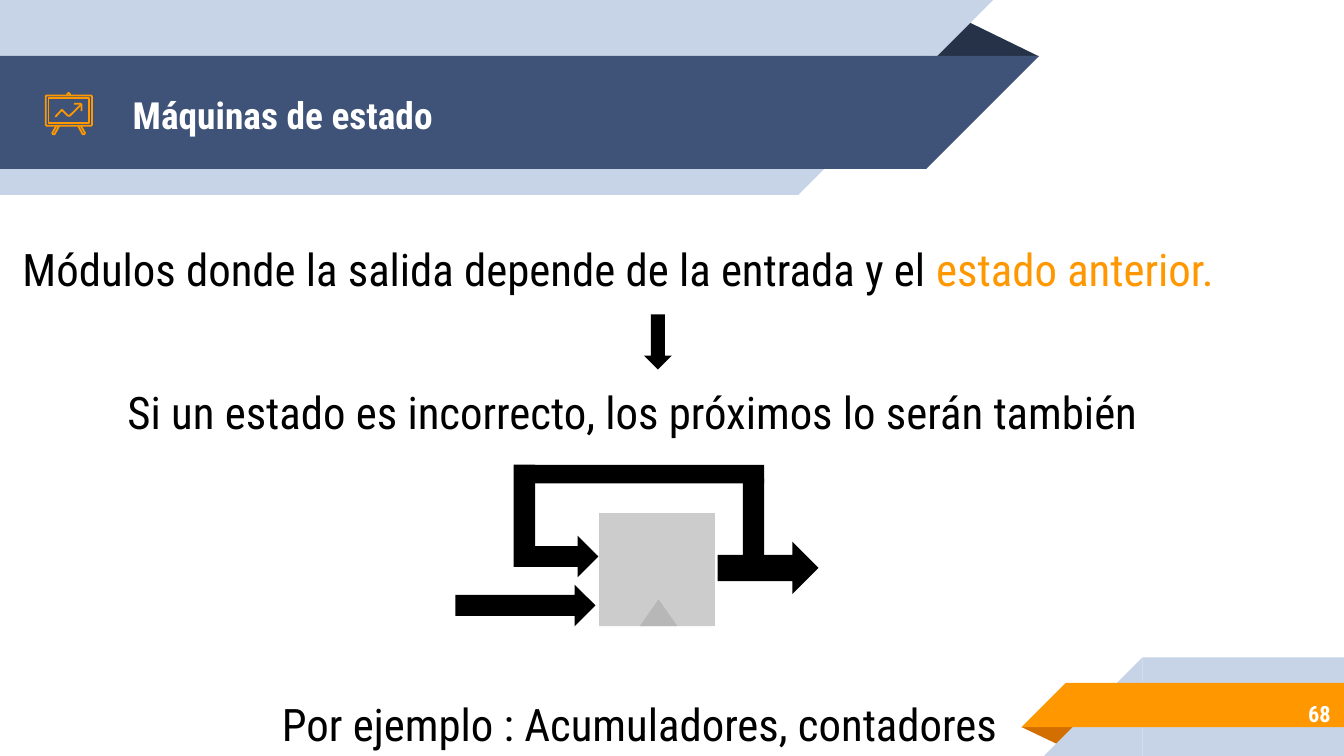
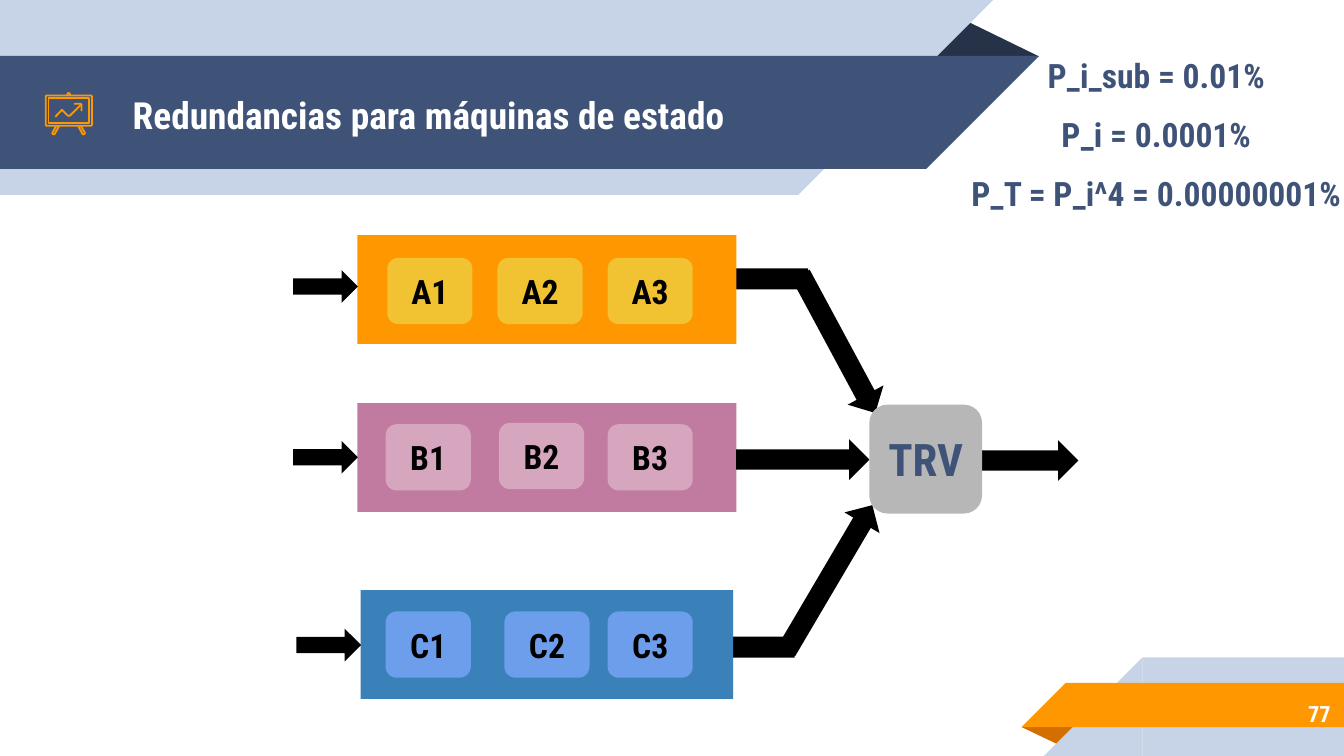
import pptx
import pptx.dml.color
import pptx.enum.shapes
import pptx.enum.text
import pptx.util

Pt = pptx.util.Pt
SHAPE = pptx.enum.shapes.MSO_SHAPE
ALIGN = pptx.enum.text.PP_ALIGN
ANCHOR = pptx.enum.text.MSO_ANCHOR
RGB = pptx.dml.color.RGBColor.from_string

FONT = "Roboto Condensed"
COLORS = {
    "navy": "3F5378", "dark navy": "263248", "pale blue": "C7D3E6",
    "orange": "FF9800", "dark orange": "D26F00", "white": "FFFFFF",
    "black": "000000", "light gray": "CCCCCC", "gray": "B7B7B7",
    "yellow": "F1C232", "mauve": "C27BA0", "pink": "D5A6BD",
    "blue": "3A81BA", "sky": "6D9EEB",
}


def draw(slide, kind, x, y, width, height, fill="black", rotation=0):
    """Add a plain filled shape; all lengths are in points."""
    shape = slide.shapes.add_shape(kind, Pt(x), Pt(y), Pt(width), Pt(height))
    shape.shadow.inherit = False
    shape.fill.solid()
    shape.fill.fore_color.rgb = RGB(COLORS[fill])
    shape.line.fill.background()
    shape.rotation = rotation
    return shape


def write(shape, text, size=24, color="black", bold=False, align=ALIGN.LEFT,
          anchor=ANCHOR.TOP, accent="", gap=0):
    """Fill a shape with text, one paragraph a line; accent ends it in orange."""
    frame = shape.text_frame
    frame.word_wrap = True
    frame.vertical_anchor = anchor
    frame.margin_left = frame.margin_right = Pt(7.2)
    frame.margin_top = frame.margin_bottom = Pt(7.2)
    for index, line in enumerate(text.split("\n")):
        paragraph = frame.add_paragraph() if index else frame.paragraphs[0]
        paragraph.alignment = align
        if index and gap:
            paragraph.space_before = Pt(gap)
        for words, run_color in ((line, color), (accent, "orange")):
            if words:
                run = paragraph.add_run()
                run.text = words
                run.font.name = FONT
                run.font.size = Pt(size)
                run.font.bold = bold
                run.font.color.rgb = RGB(COLORS[run_color])


# Bands of every slide: kind, x, y, width, height, fill, rotation
BANDS = [
    (SHAPE.ISOSCELES_TRIANGLE, 495.4, 10, 61.2, 20.2, "dark navy", 0),
    (SHAPE.RECTANGLE, 0, 0, 427.6, 104.4, "pale blue", 0),
    (SHAPE.RIGHT_TRIANGLE, 427.6, 0, 104.4, 104.4, "pale blue", 90),
    (SHAPE.RECTANGLE, 0, 30, 496.2, 60.5, "navy", 0),
    (SHAPE.RIGHT_TRIANGLE, 496.2, 30, 60.5, 60.5, "navy", 90),
    (SHAPE.ISOSCELES_TRIANGLE, 547.2, 389.5, 31, 10, "dark orange", 180),
    (SHAPE.RECTANGLE, 612, 352.2, 108, 52.8, "pale blue", 0),
    (SHAPE.RIGHT_TRIANGLE, 559.2, 352.2, 52.8, 52.8, "pale blue", 270),
    (SHAPE.RECTANGLE, 571, 365.8, 149, 23.8, "orange", 0),
    (SHAPE.RIGHT_TRIANGLE, 547.2, 365.8, 23.8, 23.8, "orange", 270),
]

# Flip chart icon: outline points and whether the outline is closed
ICON = [
    ([(25, 51.1), (48.8, 51.1), (49.3, 51.6), (49.3, 66.8), (48.8, 67.4),
      (25, 67.4), (24.5, 66.8), (24.5, 51.6)], True),
    ([(37.6, 51.1), (37.4, 50.2), (36.8, 49.8), (36.2, 50.2), (36, 51.1)], False),
    ([(30.2, 67.4), (28, 71.3), (28.4, 72), (29.2, 72), (31.7, 67.4)], False),
    ([(41.8, 67.4), (44.3, 72), (45.1, 72), (45.5, 71.3), (43.3, 67.4)], False),
    ([(26, 52.6), (26, 66), (47.8, 66), (47.8, 52.6)], True),
    ([(43.4, 56), (37.4, 62), (36.4, 62), (33.2, 58.8), (29.6, 62.6)], False),
    ([(39.8, 55.6), (43.2, 55.6), (43.7, 56.1), (43.7, 59.5)], False),
]

deck = pptx.Presentation()
deck.slide_width, deck.slide_height = Pt(720), Pt(405)

# Shared frame: bands, icon, title, page number
slides = []
for title, number in (("Máquinas de estado", "68"),
                      ("Redundancias para máquinas de estado", "77")):
    slide = deck.slides.add_slide(deck.slide_layouts[6])
    slides.append(slide)
    for band in BANDS:
        piece = draw(slide, *band)
        if band[0] == SHAPE.ISOSCELES_TRIANGLE:
            piece.adjustments[0] = 0.324
    for points, closed in ICON:
        (start_x, start_y), *rest = [(Pt(x), Pt(y)) for x, y in points]
        builder = slide.shapes.build_freeform(start_x, start_y, scale=1.0)
        builder.add_line_segments(rest, close=closed)
        stroke = builder.convert_to_shape()
        stroke.shadow.inherit = False
        stroke.fill.background()
        stroke.line.color.rgb = RGB(COLORS["orange"])
        stroke.line.width = Pt(0.96)
    write(slide.shapes.add_textbox(Pt(64), Pt(31), Pt(430), Pt(60.5)), title,
          size=20, color="white", bold=True, anchor=ANCHOR.MIDDLE)
    write(slide.shapes.add_textbox(Pt(602.6), Pt(369.4), Pt(117.4), Pt(25.2)),
          number, size=12, color="white", bold=True, align=ALIGN.RIGHT,
          anchor=ANCHOR.MIDDLE)

machine, redundancy = slides

# State machine: statements
for x, y, width, statement, accent in (
    (5, 122.4, 695.5, "Módulos donde la salida depende de la entrada y el ",
     "estado anterior."),
    (61.2, 198.7, 582.5,
     "Si un estado es incorrecto, los próximos lo serán también", ""),
    (144, 365.8, 408.2, "Por ejemplo : Acumuladores, contadores", ""),
):
    write(machine.shapes.add_textbox(Pt(x), Pt(y), Pt(width), Pt(32.4)),
          statement, accent=accent)
draw(machine, SHAPE.RIGHT_ARROW, 337.7, 175.7, 29.5, 15, rotation=90)

# State machine: register with its clock, input, output and feedback loop
draw(machine, SHAPE.RECTANGLE, 321, 275, 62, 60.5, "light gray")
draw(machine, SHAPE.ISOSCELES_TRIANGLE, 342.7, 321.1, 20.2, 14.4, "gray")
draw(machine, SHAPE.RIGHT_ARROW, 244, 313.2, 75, 22.3)
draw(machine, SHAPE.RIGHT_ARROW, 384.5, 290.2, 54, 28.1)
draw(machine, SHAPE.RECTANGLE, 398, 256.3, 11.3, 42.5)
draw(machine, SHAPE.RECTANGLE, 286.6, 249, 122.7, 10)
draw(machine, SHAPE.RECTANGLE, 275.2, 249, 11.5, 54.7)
draw(machine, SHAPE.RIGHT_ARROW, 286.6, 287, 34, 22.3)

# Redundancy: elbows of the outer outputs
draw(redundancy, SHAPE.RECTANGLE, 392.4, 143.8, 40.5, 11.3)
draw(redundancy, SHAPE.RECTANGLE, 389, 341, 36.7, 11.3)

# Redundancy: modules, each with an input arrow and three units (x, y)
MODULES = [
    ("A", 191.5, 126, 203, "orange", "yellow", 144.7,
     [(207.5, 138.2), (266.5, 138.2), (325.5, 138.2)]),
    ("B", 191.5, 216, 203, "mauve", "pink", 236.2,
     [(206.6, 227.3), (267.3, 226.6), (325.5, 227.3)]),
    ("C", 193.2, 316.2, 199.6, "blue", "sky", 336.8,
     [(206.6, 327.6), (270.2, 327.6), (325.5, 327.6)]),
]
for letter, x, y, width, module_fill, unit_fill, input_y, units in MODULES:
    draw(redundancy, SHAPE.RECTANGLE, x, y, width, 58.2, module_fill)
    draw(redundancy, SHAPE.RIGHT_ARROW, x - 34.4, input_y, 34.6, 17.5)
    for count, (unit_x, unit_y) in enumerate(units, 1):
        unit = draw(redundancy, SHAPE.ROUNDED_RECTANGLE, unit_x, unit_y,
                    45.6, 35.5, unit_fill)
        write(unit, f"{letter}{count}", size=18, bold=True,
              align=ALIGN.CENTER, anchor=ANCHOR.MIDDLE)

# Redundancy: arrows into and out of the voter
for x, y, length, angle in ((406.8, 173.3, 84.2, 61.7), (394.4, 235.3, 71.4, 0),
                            (399, 298.8, 90.7, 300.5), (526.2, 235.8, 51.6, 0)):
    draw(redundancy, SHAPE.RIGHT_ARROW, x, y, length, 21.8, rotation=angle)
voter = draw(redundancy, SHAPE.ROUNDED_RECTANGLE, 465.7, 216.8, 60.4, 58.3, "gray")
write(voter, "TRV", color="navy", bold=True, align=ALIGN.CENTER,
      anchor=ANCHOR.MIDDLE)

# Redundancy: failure probabilities
write(redundancy.shapes.add_textbox(Pt(512.6), Pt(24.5), Pt(213.8), Pt(94.3)),
      "P_i_sub = 0.01%\nP_i = 0.0001%\nP_T = P_i^4 = 0.00000001%",
      size=18, color="navy", bold=True, align=ALIGN.CENTER,
      anchor=ANCHOR.MIDDLE, gap=10)

deck.save("out.pptx")
